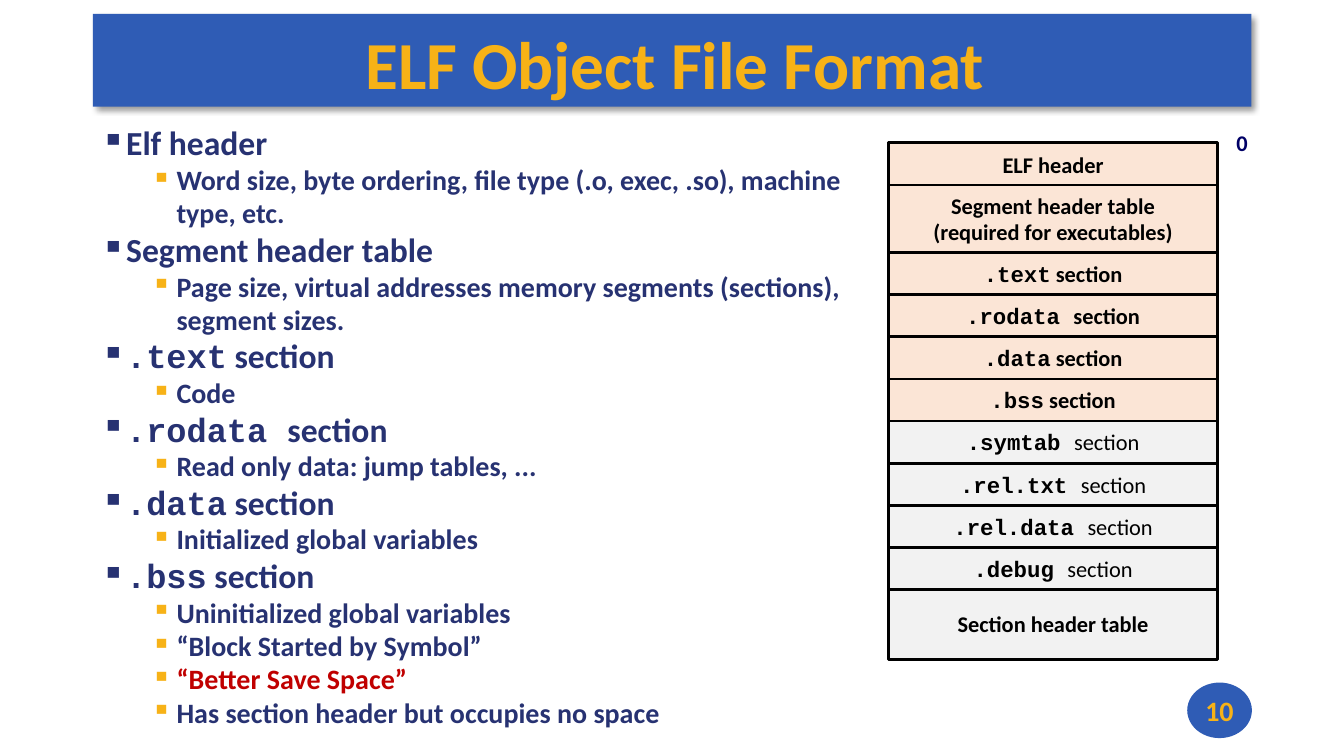
from dataclasses import dataclass

from lxml.etree import SubElement
from pptx import Presentation
from pptx.dml.color import RGBColor
from pptx.enum.shapes import MSO_SHAPE
from pptx.enum.text import MSO_ANCHOR, PP_ALIGN
from pptx.oxml.ns import qn
from pptx.util import Cm, Pt


@dataclass(frozen=True)
class Theme:
    """Colours, typefaces and type sizes of the slide."""
    blue: str = "2F5CB5"
    gold: str = "F7B217"
    navy: str = "273272"
    address: str = "000066"
    red: str = "C00000"
    black: str = "000000"
    loaded: str = "FBE5D6"
    unloaded: str = "F2F2F2"
    sans: str = "Calibri"
    mono: str = "Courier New"
    title: int = 48
    topic: int = 24
    detail: int = 20
    label: int = 16


THEME = Theme()

TOPICS = [
    ("Elf header", ["Word size, byte ordering, file type (.o, exec, .so), machine type, etc."]),
    ("Segment header table",
     ["Page size, virtual addresses memory segments (sections), segment sizes."]),
    ("`.text` section", ["Code"]),
    ("`.rodata `section", ["Read only data: jump tables, ..."]),
    ("`.data` section", ["Initialized global variables"]),
    ("`.bss` section", ["Uninitialized global variables", "“Block Started by Symbol”",
                        "“Better Save Space”", "Has section header but occupies no space"]),
]
HIGHLIGHTED = "“Better Save Space”"

LOADED_SECTIONS = ["ELF header", "Segment header table\n(required for executables)",
                   "`.text` section", "`.rodata `section", "`.data` section", "`.bss` section"]
UNLOADED_SECTIONS = ["`.symtab `section", "`.rel.txt `section", "`.rel.data `section",
                     "`.debug `section", "Section header table"]
TALL_SECTIONS = (LOADED_SECTIONS[1], UNLOADED_SECTIONS[-1])


def add_bullet(paragraph, indent, color):
    """Give a paragraph a square bullet with a hanging indent in centimetres."""
    properties = paragraph._p.get_or_add_pPr()
    properties.set("marL", str(Cm(indent)))
    properties.set("indent", str(-Cm(0.64)))
    bullet_color = SubElement(properties, qn("a:buClr"))
    SubElement(bullet_color, qn("a:srgbClr"), val=color)
    SubElement(properties, qn("a:buChar"), char="▪")


def write(paragraph, text, *, size, color, align=PP_ALIGN.LEFT, spacing=1.0, bold=True):
    """Fill a paragraph, setting the parts between backticks in bold monospace."""
    paragraph.alignment = align
    paragraph.line_spacing = spacing
    paragraph.space_before = Pt(0)
    for index, part in enumerate(text.split("`")):
        if part:
            is_code = index % 2 == 1
            run = paragraph.add_run()
            run.text = part
            run.font.name = THEME.mono if is_code else THEME.sans
            run.font.size = Pt(size)
            run.font.bold = bold or is_code
            run.font.color.rgb = RGBColor.from_string(color)


def next_paragraph(frame):
    """Return the empty first paragraph of a frame, or a new one after the others."""
    first = frame.paragraphs[0]
    return frame.add_paragraph() if first.runs else first


def add_panel(slide, preset, box, fill):
    """Add a filled borderless shape in a box of centimetres."""
    panel = slide.shapes.add_shape(preset, *map(Cm, box))
    panel.shadow.inherit = False
    panel.fill.solid()
    panel.fill.fore_color.rgb = RGBColor.from_string(fill)
    panel.line.fill.background()
    panel.text_frame.vertical_anchor = MSO_ANCHOR.MIDDLE
    return panel


def add_title(slide, box, text):
    """Place the title over a banner that casts a soft shadow."""
    left, top, width, height = box
    banner = add_panel(slide, MSO_SHAPE.RECTANGLE, box, THEME.blue)
    effects = banner._element.spPr.find(qn("a:effectLst"))
    shadow = SubElement(effects, qn("a:outerShdw"), blurRad=str(Pt(4)), dist=str(Pt(3)),
                        dir="2700000", algn="tl", rotWithShape="0")
    shade = SubElement(shadow, qn("a:srgbClr"), val=THEME.black)
    SubElement(shade, qn("a:alpha"), val="40000")

    title = slide.shapes.title
    title._element.addprevious(banner._element)
    title.left, title.top = Cm(left), Cm(top + 0.13)
    title.width, title.height = Cm(width - 0.05), Cm(height - 0.15)
    frame = title.text_frame
    frame.vertical_anchor = MSO_ANCHOR.MIDDLE
    frame.margin_left, frame.margin_right = Cm(0.2), 0
    frame.margin_top = frame.margin_bottom = Cm(0.08)
    write(frame.paragraphs[0], text, size=THEME.title, color=THEME.gold, align=PP_ALIGN.CENTER)


def add_topics(slide, box, topics):
    """List each topic with its details indented below it."""
    frame = slide.shapes.add_textbox(*map(Cm, box)).text_frame
    frame.word_wrap = True
    for topic, details in topics:
        heading = next_paragraph(frame)
        add_bullet(heading, 0.64, THEME.navy)
        write(heading, topic, size=THEME.topic, color=THEME.navy, spacing=0.99)
        for detail in details:
            item = next_paragraph(frame)
            item.level = 1
            add_bullet(item, 1.91, THEME.gold)
            color = THEME.red if detail == HIGHLIGHTED else THEME.navy
            write(item, detail, size=THEME.detail, color=color, spacing=0.99)


def add_file_layout(slide, box):
    """Stack the file's sections from the top of the box and mark address zero."""
    left, top, width, height = box
    overlap = 0.06
    sections = LOADED_SECTIONS + UNLOADED_SECTIONS
    tall_ratio = 1.6
    units = len(sections) + len(TALL_SECTIONS) * (tall_ratio - 1)
    row = (height - overlap) / units
    row_top = top
    for section in sections:
        is_loaded = section in LOADED_SECTIONS
        row_height = row * (tall_ratio if section in TALL_SECTIONS else 1)
        cell = add_panel(slide, MSO_SHAPE.RECTANGLE,
                         (left, row_top, width, row_height + overlap),
                         THEME.loaded if is_loaded else THEME.unloaded)
        cell.line.color.rgb = RGBColor.from_string(THEME.black)
        cell.line.width = Pt(2)
        frame = cell.text_frame
        frame.word_wrap = False
        has_code = "`" in section
        for line in section.split("\n"):
            write(next_paragraph(frame), line, size=THEME.label, color=THEME.black,
                  align=PP_ALIGN.CENTER, spacing=0.94 if has_code else 0.98,
                  bold=is_loaded or not has_code)
        row_top += row_height

    address = slide.shapes.add_textbox(Cm(left + width + 0.23), Cm(top - 0.43), Cm(0.9), Cm(0.94))
    write(address.text_frame.paragraphs[0], "0", size=THEME.label, color=THEME.address,
          spacing=0.98)


def add_page_number(slide, box, number):
    """Show the page number in an ellipse."""
    badge = add_panel(slide, MSO_SHAPE.OVAL, box, THEME.blue)
    frame = badge.text_frame
    frame.word_wrap = False
    frame.margin_left = frame.margin_right = 0
    write(frame.paragraphs[0], number, size=THEME.detail, color=THEME.gold,
          align=PP_ALIGN.CENTER)


def main():
    """Build the slide and save it."""
    deck = Presentation()
    deck.slide_width, deck.slide_height = Cm(33.87), Cm(19.05)
    slide = deck.slides.add_slide(deck.slide_layouts[5])
    add_title(slide, (2.34, 0.35, 29.2, 2.34), "ELF Object File Format")
    add_topics(slide, (2.29, 3, 19.8, 15.5), TOPICS)
    add_file_layout(slide, (22.4, 3.6, 8.28, 13.02))
    add_page_number(slide, (29.92, 17.2, 1.63, 1.4), "10")
    deck.save("out.pptx")


if __name__ == "__main__":
    main()
